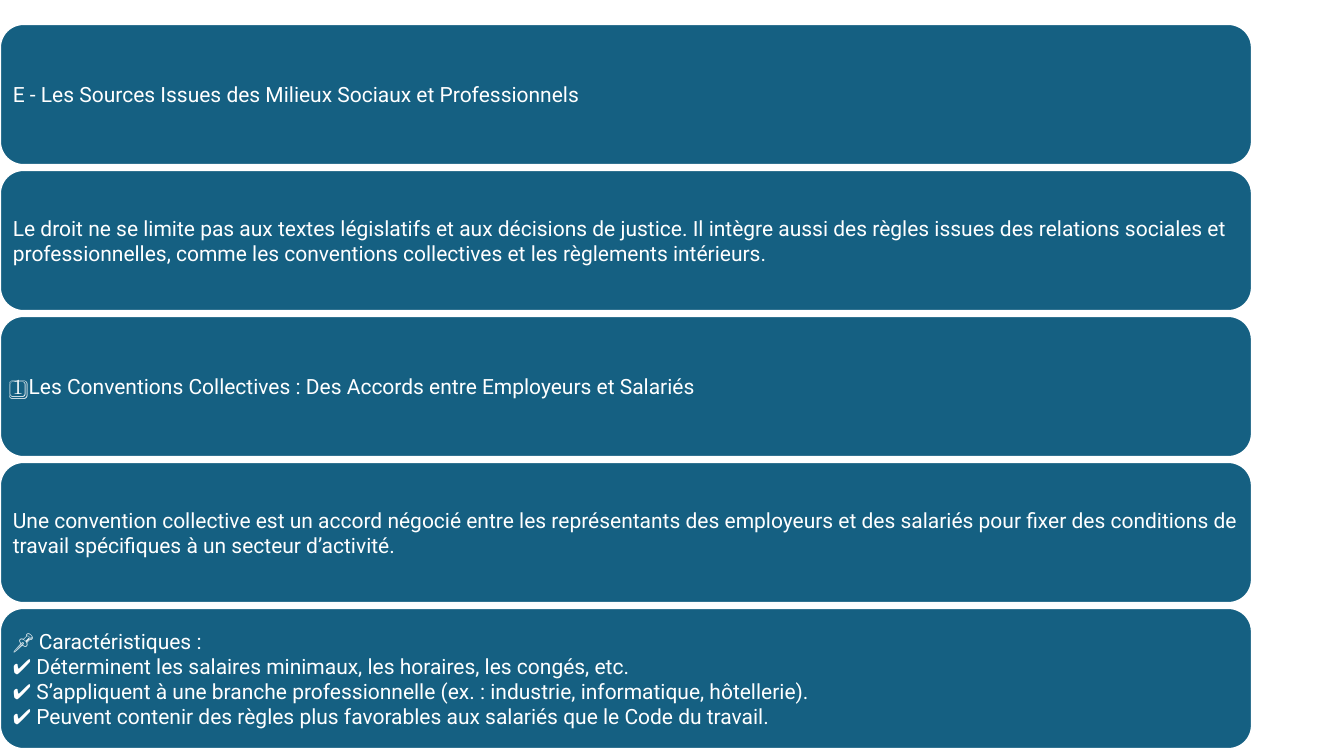
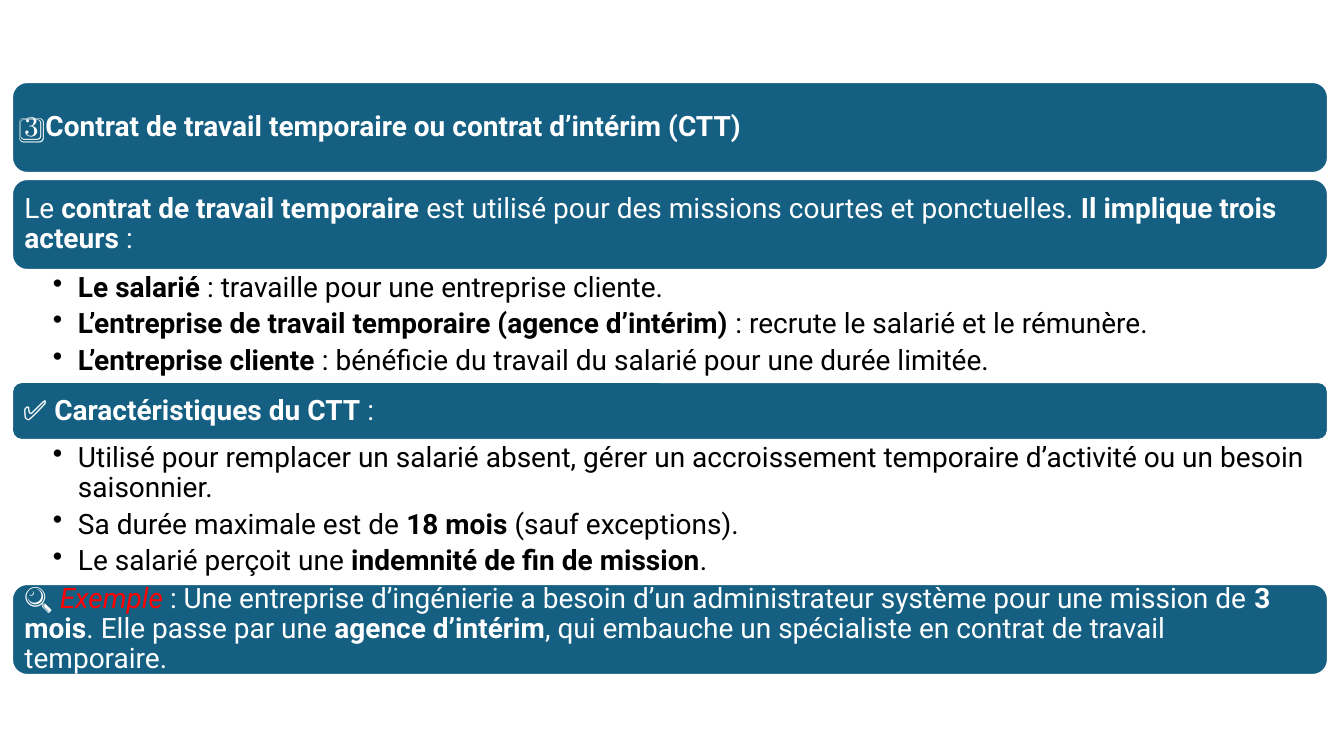
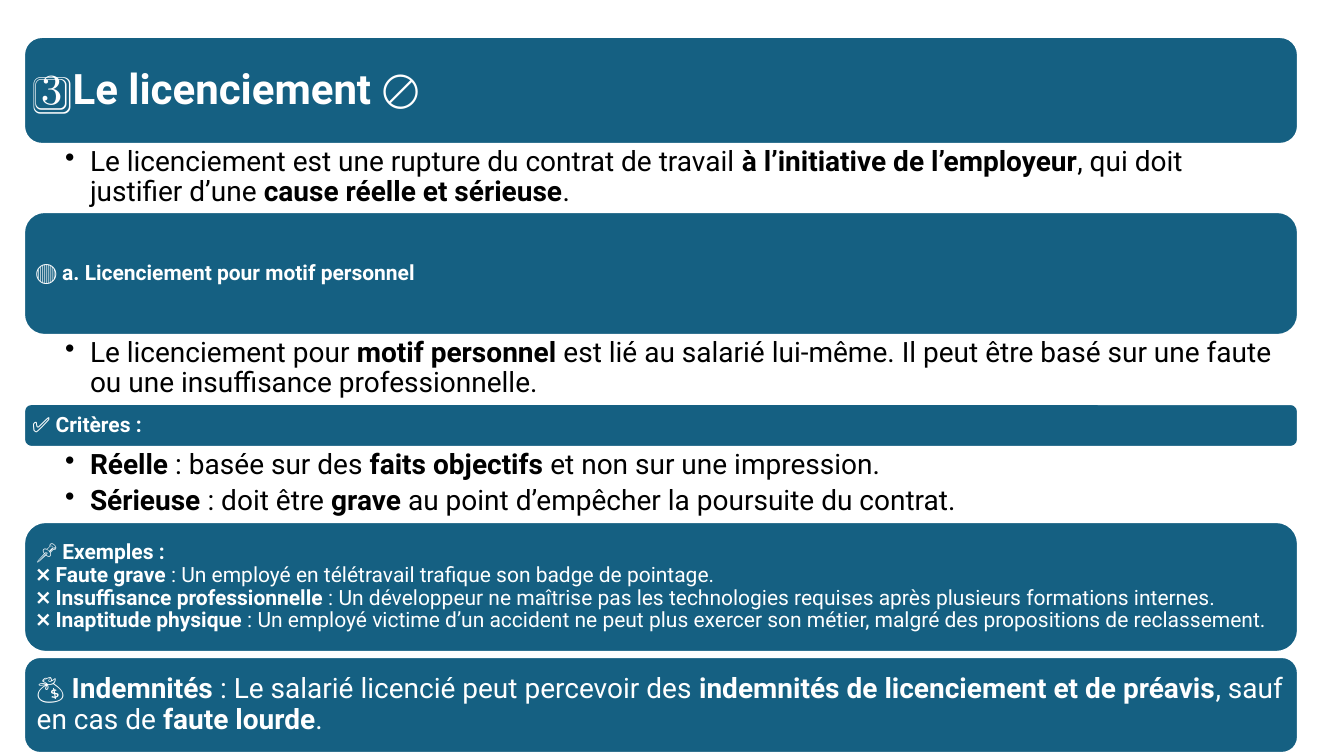
from lxml.etree import SubElement
from pptx import Presentation
from pptx.dml.color import RGBColor
from pptx.enum.shapes import MSO_SHAPE
from pptx.enum.text import MSO_ANCHOR, PP_ALIGN
from pptx.oxml.ns import qn
from pptx.util import Emu, Pt

# Content: *bold*, _red italic_; a band is (height, size, text), a list is (height, items)
SOURCES = [
    (141, 15, "E - Les Sources Issues des Milieux Sociaux et Professionnels"),
    (141, 15, "Le droit ne se limite pas aux textes législatifs et aux décisions de justice. "
              "Il intègre aussi des règles issues des relations sociales et professionnelles, "
              "comme les conventions collectives et les règlements intérieurs."),
    (141, 15, "1️⃣ Les Conventions Collectives : Des Accords entre Employeurs et Salariés"),
    (141, 15, "Une convention collective est un accord négocié entre les représentants des "
              "employeurs et des salariés pour fixer des conditions de travail spécifiques "
              "à un secteur d’activité."),
    (141, 15, "📌 Caractéristiques :\n"
              "✔ Déterminent les salaires minimaux, les horaires, les congés, etc.\n"
              "✔ S’appliquent à une branche professionnelle (ex. : industrie, informatique, hôtellerie).\n"
              "✔ Peuvent contenir des règles plus favorables aux salariés que le Code du travail."),
]
TEMPORARY_CONTRACT = [
    (91, 20, "3️⃣ *Contrat de travail temporaire ou contrat d’intérim (CTT)*"),
    (91, 20, "Le *contrat de travail temporaire* est utilisé pour des missions courtes et "
             "ponctuelles. *Il implique trois acteurs* :"),
    (112, ["*Le salarié* : travaille pour une entreprise cliente.",
           "*L’entreprise de travail temporaire (agence d’intérim)* : recrute le salarié et le rémunère.",
           "*L’entreprise cliente* : bénéficie du travail du salarié pour une durée limitée."]),
    (58, 20, "✅ *Caractéristiques du CTT* :"),
    (144, ["Utilisé pour remplacer un salarié absent, gérer un accroissement temporaire "
           "d’activité ou un besoin saisonnier.",
           "Sa durée maximale est de *18 mois* (sauf exceptions).",
           "Le salarié perçoit une *indemnité de fin de mission*."]),
    (91, 20, "🔍 _Exemple_ : Une entreprise d’ingénierie a besoin d’un administrateur système "
             "pour une mission de *3 mois*. Elle passe par une *agence d’intérim*, qui embauche "
             "un spécialiste en contrat de travail temporaire."),
]
DISMISSAL = [
    (107, 30, "*3️⃣ Le licenciement 🚫*"),
    (68, ["Le licenciement est une rupture du contrat de travail *à l’initiative de "
          "l’employeur*, qui doit justifier d’une *cause réelle et sérieuse*."]),
    (123, 15, "*🔴 a. Licenciement pour motif personnel*"),
    (69, ["Le licenciement pour *motif personnel* est lié au salarié lui-même. Il peut être "
          "basé sur une faute ou une insuffisance professionnelle."]),
    (43, 15, "✅ *Critères :*"),
    (75, ["*Réelle* : basée sur des *faits objectifs* et non sur une impression.",
          "*Sérieuse* : doit être *grave* au point d’empêcher la poursuite du contrat."]),
    (130, 15, "📌 *Exemples :*\n"
              "❌ *Faute grave* : Un employé en télétravail trafique son badge de pointage.\n"
              "❌ *Insuffisance professionnelle* : Un développeur ne maîtrise pas les technologies "
              "requises après plusieurs formations internes.\n"
              "❌ *Inaptitude physique* : Un employé victime d’un accident ne peut plus exercer "
              "son métier, malgré des propositions de reclassement."),
    (96, 20, "💰 *Indemnités* : Le salarié licencié peut percevoir des *indemnités de "
             "licenciement et de préavis*, sauf en cas de *faute lourde*."),
]
PAGES = [
    {"left": 0, "top": 24, "width": 1252, "gap": 5, "spacing": 1.0, "blocks": SOURCES},
    {"left": 12, "top": 82, "width": 1316, "gap": 6, "spacing": 0.9, "blocks": TEMPORARY_CONTRACT},
    {"left": 24, "top": 37, "width": 1274, "gap": 5, "spacing": 0.9, "blocks": DISMISSAL},
]

# Shared style
WIDTH, HEIGHT = 1344, 756
FONT = "Roboto"
BLUE = RGBColor(0x15, 0x60, 0x82)
WHITE = RGBColor(0xFF, 0xFF, 0xFF)
BLACK = RGBColor(0x00, 0x00, 0x00)
RED = RGBColor(0xFF, 0x00, 0x00)
LIST_SIZE = 20
LIST_INSETS = (41, 3, 16, 3)
BULLET_INDENT = 25


def px(length):
    return Emu(round(length * 12192000 / WIDTH))


def set_frame(frame, insets, anchor):
    frame.word_wrap = True
    frame.vertical_anchor = anchor
    (frame.margin_left, frame.margin_top,
     frame.margin_right, frame.margin_bottom) = map(px, insets)


def write(para, text, size, color, spacing):
    para.alignment = PP_ALIGN.LEFT
    para.line_spacing = spacing
    para.font.name = FONT
    para.font.size = Pt(size)
    para.font.color.rgb = color
    for bold_index, part in enumerate(text.split("*")):
        for red_index, piece in enumerate(part.split("_")):
            for line_index, line in enumerate(piece.split("\n")):
                if line_index:
                    para.add_line_break()
                if not line:
                    continue
                span = para.add_run()
                span.text = line
                if bold_index % 2:
                    span.font.bold = True
                if red_index % 2:
                    span.font.italic = True
                    span.font.color.rgb = RED


def add_band(page, bounds, size, text, spacing):
    band = page.shapes.add_shape(MSO_SHAPE.ROUNDED_RECTANGLE, *map(px, bounds))
    band.shadow.inherit = False
    band.fill.solid()
    band.fill.fore_color.rgb = BLUE
    band.line.color.rgb = WHITE
    band.line.width = Pt(1.5)
    set_frame(band.text_frame, [size * 0.4] * 4, MSO_ANCHOR.MIDDLE)
    write(band.text_frame.paragraphs[0], text, size, WHITE, spacing)


def add_list(page, bounds, items, spacing):
    frame = page.shapes.add_textbox(*map(px, bounds)).text_frame
    set_frame(frame, LIST_INSETS, MSO_ANCHOR.TOP)
    for index, item in enumerate(items):
        para = frame.add_paragraph() if index else frame.paragraphs[0]
        properties = para._p.get_or_add_pPr()
        properties.set("marL", str(px(BULLET_INDENT)))
        properties.set("indent", str(-px(BULLET_INDENT)))
        SubElement(properties, qn("a:buChar")).set("char", "•")
        para.space_after = Pt(4.5)
        write(para, item, LIST_SIZE, BLACK, spacing)


def add_page(deck, left, top, width, gap, spacing, blocks):
    page = deck.slides.add_slide(deck.slide_layouts[6])
    after_band = False
    for height, *content in blocks:
        is_band = len(content) == 2
        # Only neighbouring bands are set apart
        if is_band and after_band:
            top += gap
        add_block = add_band if is_band else add_list
        add_block(page, (left, top, width, height), *content, spacing)
        top += height
        after_band = is_band


def main():
    deck = Presentation()
    deck.slide_width, deck.slide_height = px(WIDTH), px(HEIGHT)
    for settings in PAGES:
        add_page(deck, **settings)
    deck.save("out.pptx")


if __name__ == "__main__":
    main()
